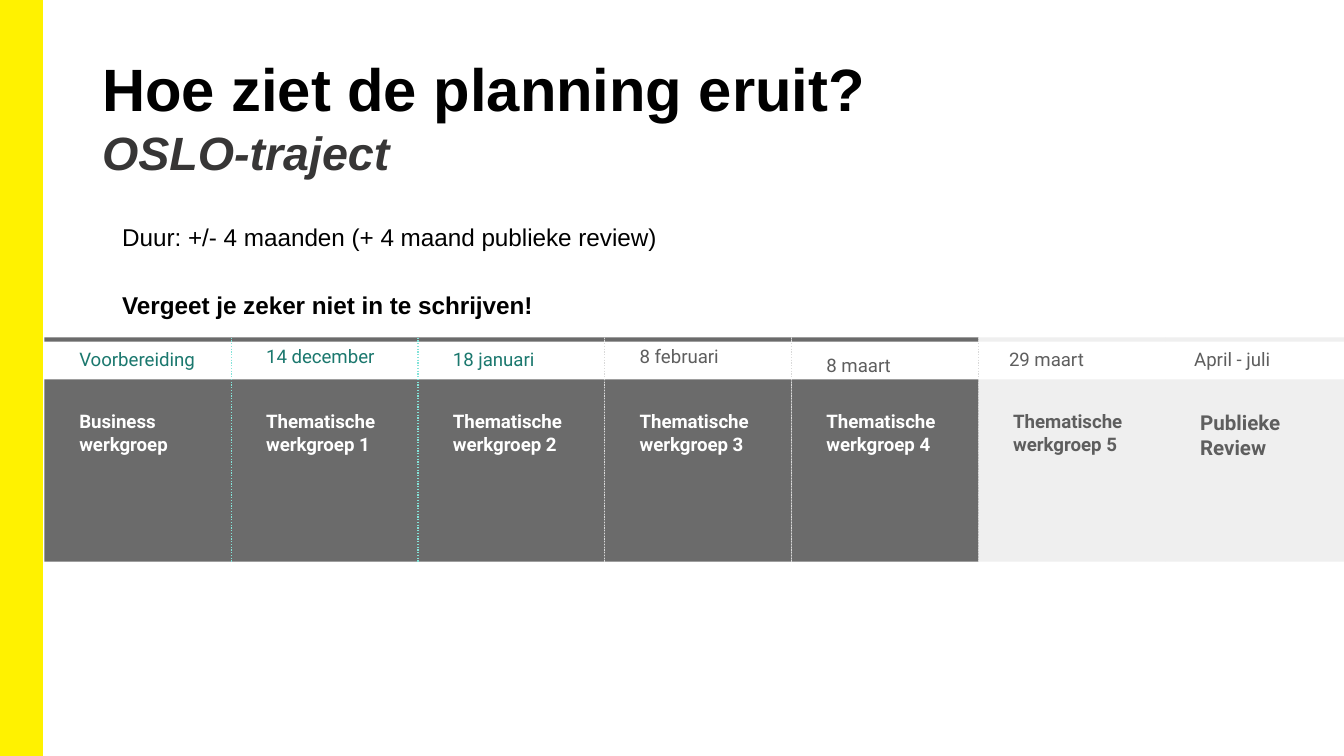
from dataclasses import dataclass

from lxml import etree
from pptx import Presentation
from pptx.dml.color import RGBColor
from pptx.enum.dml import MSO_LINE_DASH_STYLE as DASH
from pptx.enum.shapes import MSO_CONNECTOR, MSO_SHAPE
from pptx.enum.text import MSO_ANCHOR
from pptx.oxml.ns import qn
from pptx.util import Cm, Pt

YELLOW, BLACK, WHITE = "FFF200", "000000", "FFFFFF"
DARK, LIGHT, GREY = "6B6B6B", "EFEFEF", "5E5E5E"
TEAL, TEAL_DOTS, GREY_DOTS = "1B786E", "83E3D9", "D9D9D9"


@dataclass
class Phase:
    date: str
    label: str
    fill: str = DARK
    date_color: str = GREY
    label_color: str = WHITE
    label_size: int = 10
    dots: str = ""
    date_indent: float = 0.41
    date_height: float = 0.38
    width: float = 3.53


PHASES = [
    Phase("Voorbereiding", "Business werkgroep", date_color=TEAL, dots=TEAL_DOTS),
    Phase("14 december", "Thematische werkgroep 1", date_color=TEAL,
          dots=TEAL_DOTS, date_height=0.33),
    Phase("18 januari", "Thematische werkgroep 2", date_color=TEAL, dots=GREY_DOTS),
    Phase("8 februari", "Thematische werkgroep 3", dots=GREY_DOTS, date_height=0.33),
    Phase("8 maart", "Thematische werkgroep 4", dots=GREY_DOTS, date_height=0.51),
    Phase("29 maart", "Thematische werkgroep 5", LIGHT, label_color=GREY,
          date_indent=0.33),
    Phase("April - juli", "Publieke Review", LIGHT, label_color=GREY,
          label_size=11, date_indent=0.3, width=3.38),
]


def rgb(color):
    return RGBColor.from_string(color)


def add_rect(shapes, x, y, w, h, color):
    sp = shapes.add_shape(MSO_SHAPE.RECTANGLE, Cm(x), Cm(y), Cm(w), Cm(h))
    sp.shadow.inherit = False
    sp.fill.solid()
    sp.fill.fore_color.rgb = rgb(color)
    sp.line.fill.background()
    return sp


def add_dotted_line(shapes, x, y, h, color):
    line = shapes.add_connector(MSO_CONNECTOR.STRAIGHT, Cm(x), Cm(y), Cm(x), Cm(y + h))
    line.line.color.rgb = rgb(color)
    line.line.width = Pt(0.75)
    line.line.dash_style = DASH.ROUND_DOT
    etree.SubElement(line._element.spPr, qn("a:effectLst"))


def add_text(shapes, x, y, w, h, lines, insets=(0.25, 0.25)):
    """Add a text box; each line is (text, size, colour, font, bold, italic)."""
    tf = shapes.add_textbox(Cm(x), Cm(y), Cm(w), Cm(h)).text_frame
    tf.word_wrap = True
    tf.vertical_anchor = MSO_ANCHOR.TOP
    tf.margin_left = tf.margin_right = Cm(insets[0])
    tf.margin_top = tf.margin_bottom = Cm(insets[1])
    for i, (text, size, color, font, bold, italic) in enumerate(lines):
        p = tf.add_paragraph() if i else tf.paragraphs[0]
        p.text = text
        p.font.name = font
        p.font.size = Pt(size)
        p.font.bold = bold
        p.font.italic = italic
        p.font.color.rgb = rgb(color)
    return tf


def add_side_bar(slide, x, y, w, h):
    bar = add_rect(slide.shapes, x, y, w, h, YELLOW)
    bar.line.color.rgb = rgb(YELLOW)
    bar.line.width = Pt(1)


def add_heading(slide, x, y, w, h):
    add_text(slide.shapes, x, y, w, h, [
        ("Hoe ziet de planning eruit?", 32, BLACK, "Arial", True, False),
        ("OSLO-traject", 25, "373636", "Arial", True, True),
    ], insets=(0.18, 0.22))


def add_intro(slide, x, y, w, h):
    tf = add_text(slide.shapes, x, y, w, h, [
        ("Duur: +/- 4 maanden (+ 4 maand publieke review)", 13, BLACK, "Arial", False, False),
        ("Vergeet je zeker niet in te schrijven!", 13, BLACK, "Arial", True, False),
    ])
    for p in tf.paragraphs:
        p.line_spacing = 1.15
    tf.paragraphs[1].space_before = Pt(18.5)


def add_phase(slide, phase, x, y, h):
    shapes = slide.shapes.add_group_shape().shapes
    # Panel and the strip above the date
    panel_top = 0.79
    add_rect(shapes, x, y + panel_top, phase.width, h - panel_top, phase.fill)
    add_rect(shapes, x, y, phase.width, 0.08, phase.fill)
    # Divider on the right edge
    if phase.dots:
        add_dotted_line(shapes, x + phase.width, y, h, phase.dots)
    # Label and date
    add_text(shapes, x + 0.41, y + 1.12, 2.72, 1.02, [
        (phase.label, phase.label_size, phase.label_color, "Roboto", True, False)])
    tf = add_text(shapes, x + phase.date_indent, y, 2.8, phase.date_height, [
        (phase.date, 10, phase.date_color, "Roboto", False, False)])
    tf.paragraphs[0].line_spacing = 1.15


def add_timeline(slide, x, y, h):
    # Right to left, so each divider lies over the panel of its neighbour
    for i, phase in reversed(list(enumerate(PHASES))):
        add_phase(slide, phase, x + sum(p.width for p in PHASES[:i]), y, h)


def main():
    prs = Presentation()
    prs.slide_width, prs.slide_height = Cm(25.4), Cm(14.29)
    slide = prs.slides.add_slide(prs.slide_layouts[6])
    add_side_bar(slide, 0, 0, 0.79, 14.29)
    add_heading(slide, 1.75, 0.76, 21.89, 2.06)
    add_intro(slide, 2.06, 3.86, 20.78, 2.34)
    add_timeline(slide, 0.84, 6.38, 4.24)
    prs.save("out.pptx")


if __name__ == "__main__":
    main()
